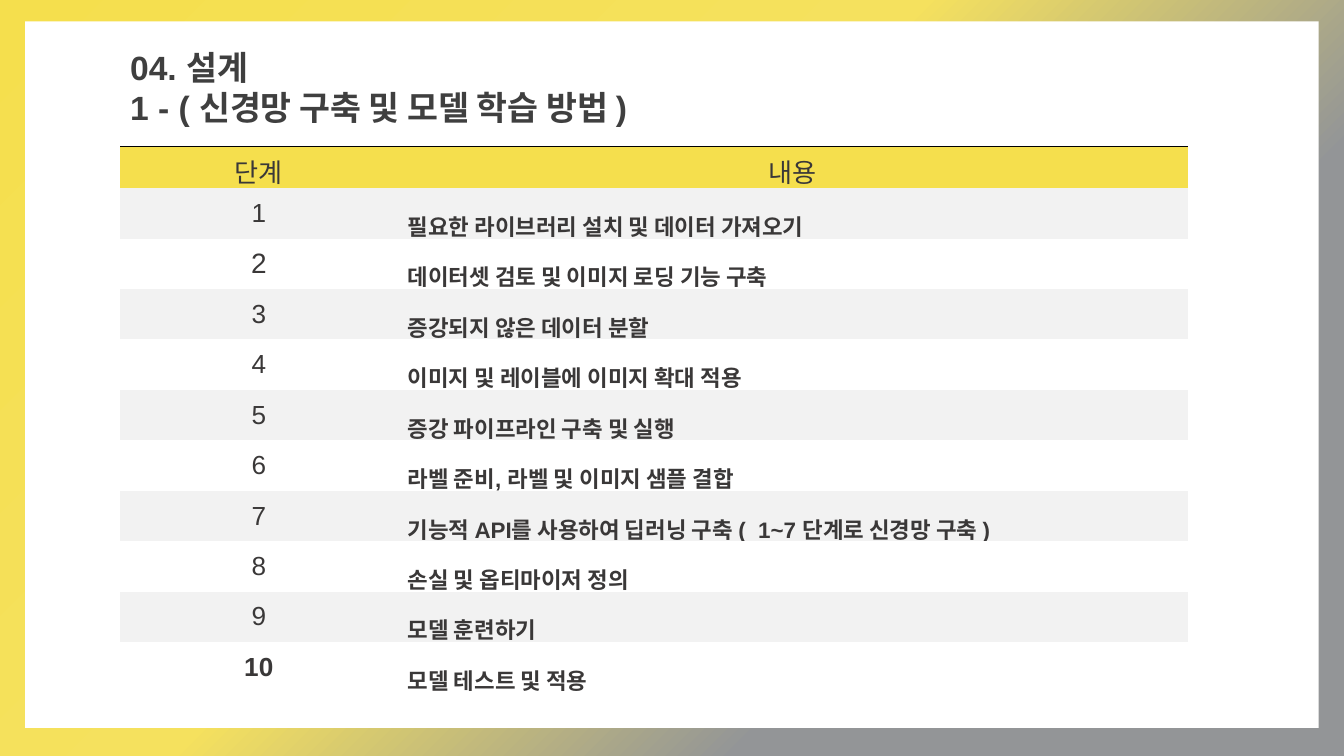
from lxml import etree
from pptx import Presentation
from pptx.dml.color import RGBColor
from pptx.enum import shapes, text
from pptx.oxml import ns
from pptx.util import Pt

GOLD = RGBColor(0xF5, 0xDF, 0x4D)
LEMON = RGBColor(0xF5, 0xE1, 0x5E)
GREY = RGBColor(0x93, 0x95, 0x97)
PALE = RGBColor(0xF2, 0xF2, 0xF2)
WHITE = RGBColor(0xFF, 0xFF, 0xFF)
BLACK = RGBColor(0, 0, 0)
DARK = RGBColor(0x3F, 0x3F, 0x3F)
INK = RGBColor(0x3A, 0x38, 0x38)

PLAIN = "{2D5ABB26-0587-4C30-8999-92F81FD0307C}"
STOPS = [(0, GOLD, 100), (44, LEMON, 69), (71, GREY, 69), (100, GREY, 100)]
TITLE = ["04. 설계", "1 - ( 신경망 구축 및 모델 학습 방법 )"]
HEADS = ["단계", "내용"]
STEPS = [
    "필요한 라이브러리 설치 및 데이터 가져오기",
    "데이터셋 검토 및 이미지 로딩 기능 구축",
    "증강되지 않은 데이터 분할",
    "이미지 및 레이블에 이미지 확대 적용",
    "증강 파이프라인 구축 및 실행",
    "라벨 준비, 라벨 및 이미지 샘플 결합",
    "기능적 API를 사용하여 딥러닝 구축 (  1~7 단계로 신경망 구축 )",
    "손실 및 옵티마이저 정의",
    "모델 훈련하기",
    "모델 테스트 및 적용",
]


def add(node, tag, **attrs):
    return etree.SubElement(node, ns.qn(tag), attrs)


def tint(node, color, alpha=100):
    clr = add(node, "a:srgbClr", val=str(color))
    if alpha < 100:
        add(clr, "a:alpha", val=str(alpha * 1000))


def style(run, color, **look):
    for key, val in {"name": "Arial", **look}.items():
        setattr(run.font, key, val)
    run.font.color.rgb = color


def inset(obj, side, end):
    for key, val in {"left": side, "right": side, "top": end, "bottom": end}.items():
        setattr(obj, "margin_" + key, Pt(val))


def backdrop(slide):
    fill = slide.background.fill
    fill.gradient()
    fill.gradient_angle = 315
    stops = slide.element.find(".//" + ns.qn("a:gsLst"))
    for stop in list(stops):
        stops.remove(stop)
    for pos, color, alpha in STOPS:
        tint(add(stops, "a:gs", pos=str(pos * 1000)), color, alpha)


def panel(slide, box):
    card = slide.shapes.add_shape(shapes.MSO_SHAPE.RECTANGLE, *map(Pt, box))
    card.shadow.inherit = False
    card.fill.solid()
    card.fill.fore_color.rgb = WHITE
    card.line.fill.background()


def title(slide, box):
    frame = slide.shapes.add_textbox(*map(Pt, box)).text_frame
    frame.word_wrap = True
    frame.auto_size = text.MSO_AUTO_SIZE.SHAPE_TO_FIT_TEXT
    inset(frame, 5.4, 2.7)
    for i, line in enumerate(TITLE):
        para = frame.add_paragraph() if i else frame.paragraphs[0]
        run = para.add_run()
        run.text = line
        style(run, DARK, size=Pt(18), bold=True)


def put(cell, words, fill, layout, **look):
    cell.fill.solid()
    cell.fill.fore_color.rgb = fill
    cell.vertical_anchor = text.MSO_ANCHOR.MIDDLE
    inset(cell, 5.4, 2.7)
    para = cell.text_frame.paragraphs[0]
    for key, val in layout.items():
        setattr(para, key, val)
    run = para.add_run()
    run.text = words
    style(run, INK, **look)


def rule(cell):
    props = cell._tc.get_or_add_tcPr()
    line = etree.Element(ns.qn("a:lnT"), w=str(Pt(0.75)))
    tint(add(line, "a:solidFill"), BLACK)
    props.insert(0, line)


def steps(slide, box):
    left, top, width, height = box
    head = 19.5
    frame = slide.shapes.add_table(len(STEPS) + 1, 2, *map(Pt, box))
    table = frame.table
    table.first_row = table.horz_banding = False
    frame.element.find(".//" + ns.qn("a:tableStyleId")).text = PLAIN
    for col, share in zip(table.columns, (0.26, 0.74)):
        col.width = Pt(width * share)
    for i, row in enumerate(table.rows):
        row.height = Pt((height - head) / len(STEPS) if i else head)
    mid = {"alignment": text.PP_ALIGN.CENTER}
    for i, words in enumerate(HEADS):
        put(table.cell(0, i), words, GOLD, mid, size=Pt(14), bold=False)
        rule(table.cell(0, i))
    for i, words in enumerate(STEPS, 1):
        fill = PALE if i % 2 else WHITE
        size = Pt(15 if i == 2 else 14)
        put(table.cell(i, 0), str(i), fill, mid, size=size, bold=i == len(STEPS))
        put(table.cell(i, 1), words, fill, {"line_spacing": 1.5}, size=Pt(12), bold=True)


def main():
    deck = Presentation()
    deck.slide_width, deck.slide_height = Pt(720), Pt(405)
    slide = deck.slides.add_slide(deck.slide_layouts[6])
    backdrop(slide)
    panel(slide, (13.5, 11.5, 693, 378.5))
    title(slide, (64.3, 22.3, 306, 49))
    steps(slide, (64.3, 78.6, 572, 289.5))
    deck.save("out.pptx")


if __name__ == "__main__":
    main()
